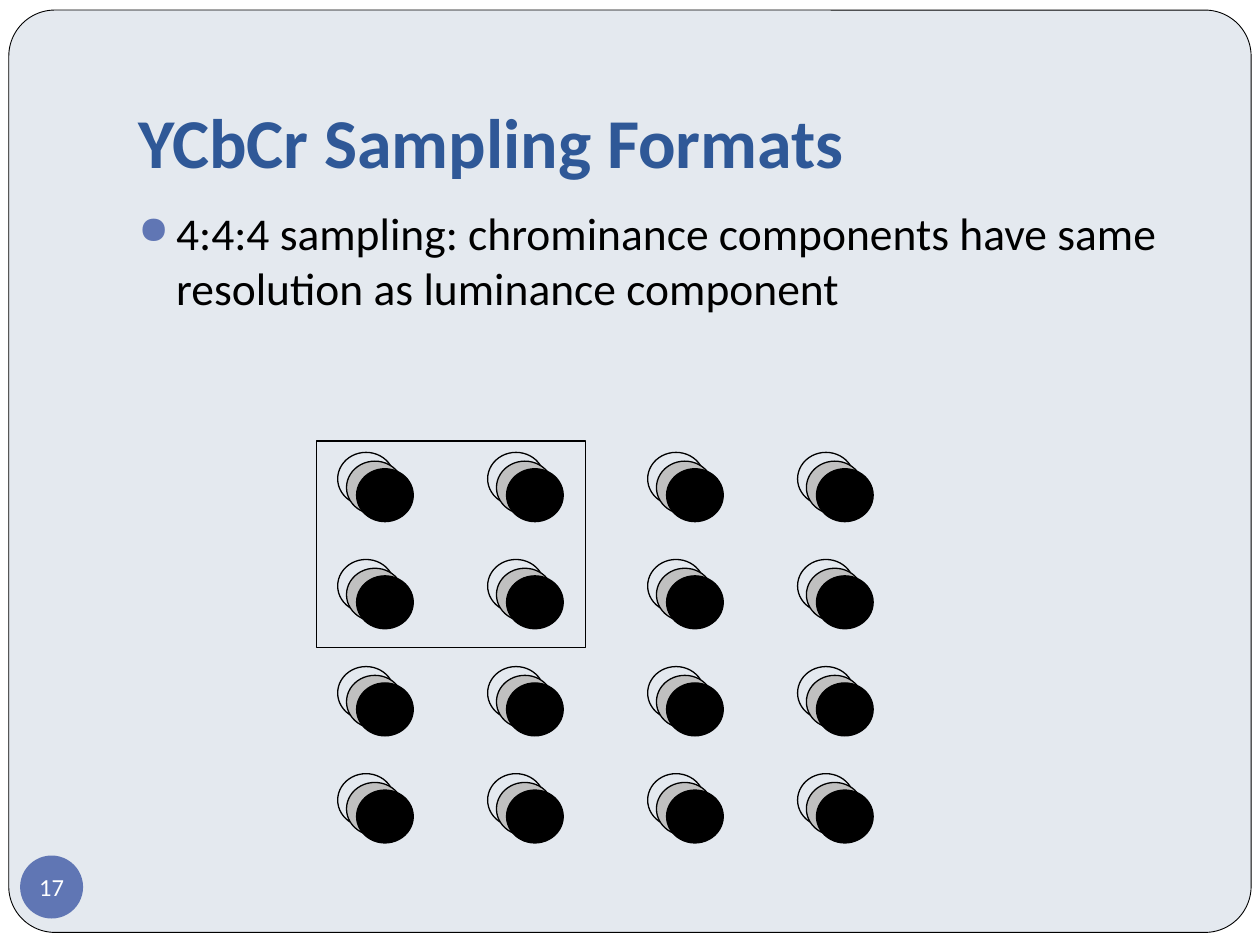
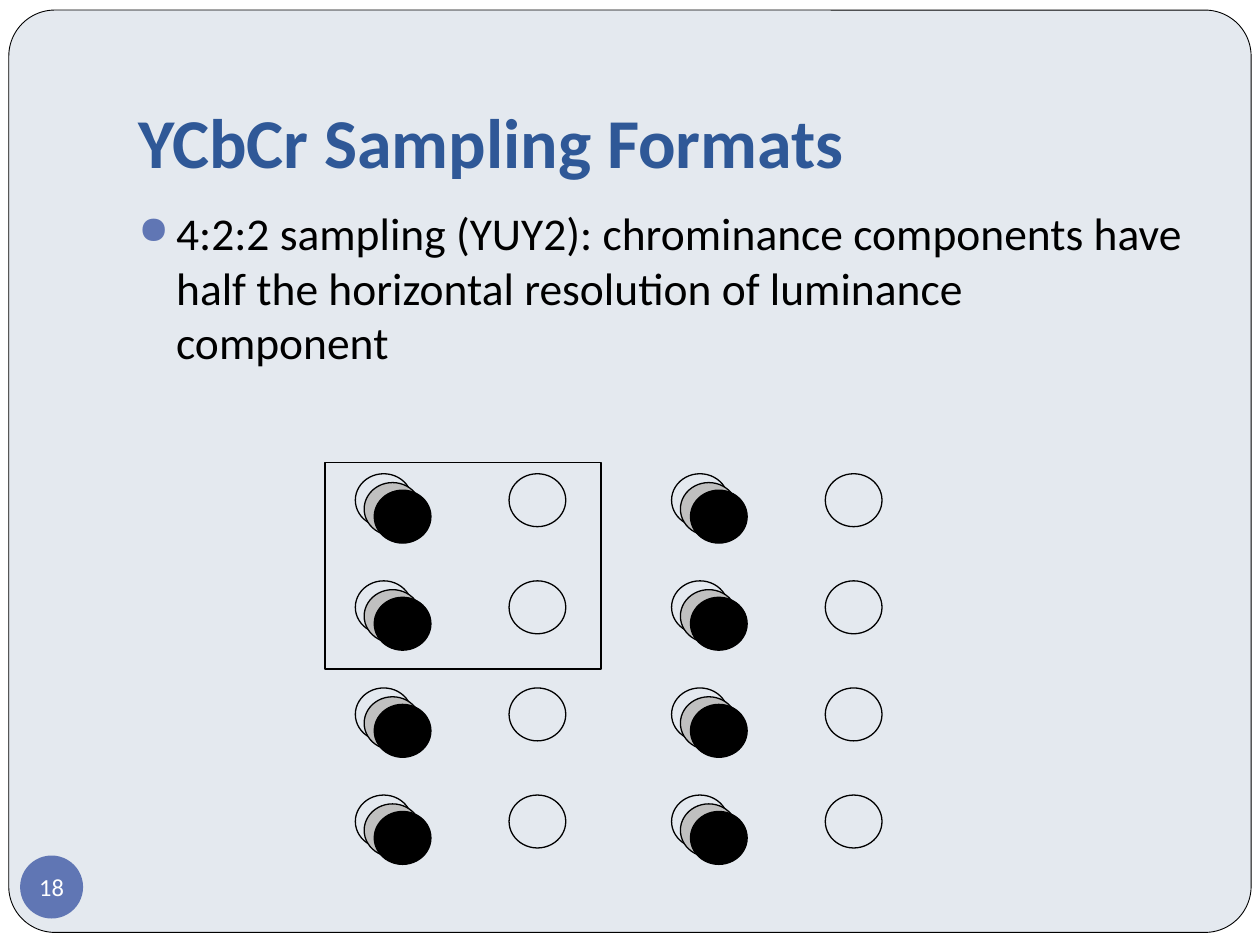
import pptx
import pptx.dml.color
import pptx.enum.shapes
import pptx.enum.text
import pptx.oxml.xmlchemy
import pptx.util
from lxml import etree
from pptx.util import Inches

SHAPE = pptx.enum.shapes.MSO_SHAPE
ALIGN = pptx.enum.text.PP_ALIGN
ANCHOR = pptx.enum.text.MSO_ANCHOR

FONT = "Calibri"
COLORS = {
    "paper": "FFFFFF",
    "panel": "E4E9EF",
    "title": "2F5897",
    "accent": "6076B4",
    "ink": "000000",
    "grey": "C0C0C0",
}
TITLE = "YCbCr Sampling Formats"

ROWS, COLUMNS = 4, 4
ROW_STEP = 0.85
DOT_WIDTH, DOT_HEIGHT = 0.45, 0.42
# Offset and fill of the luminance dot and the two chrominance dots on it
LAYERS = [(0, 0, None), (0.07, 0.07, "grey"), (0.15, 0.13, "ink")]

SLIDES = [
    {
        "number": 17,
        "text": "4:4:4 sampling: chrominance components have same "
                "resolution as luminance component",
        "box": (2.51, 3.5, 2.14, 1.64),
        "inset": (0.17, 0.09),
        "column_step": 1.19,
        "pair_step": 2.46,
        "chroma_every": 1,
    },
    {
        "number": 18,
        "text": "4:2:2 sampling (YUY2): chrominance components have half "
                "the horizontal resolution of luminance component",
        "box": (2.58, 3.67, 2.19, 1.64),
        "inset": (0.24, 0.09),
        "column_step": 1.22,
        "pair_step": 2.51,
        "chroma_every": 2,
    },
]


def rgb(name):
    return pptx.dml.color.RGBColor.from_string(COLORS[name])


def add_shape(shapes, kind, box, fill=None, line=None, width=0.75):
    sp = shapes.add_shape(kind, *map(Inches, box))
    sp.shadow.inherit = False
    if fill:
        sp.fill.solid()
        sp.fill.fore_color.rgb = rgb(fill)
    else:
        sp.fill.background()
    if line:
        sp.line.color.rgb = rgb(line)
        sp.line.width = pptx.util.Pt(width)
    else:
        sp.line.fill.background()
    return sp


def add_run(p, text, size, color, bold=False):
    r = p.add_run()
    r.text = text
    r.font.name = FONT
    r.font.size = pptx.util.Pt(size)
    r.font.bold = bold
    r.font.color.rgb = rgb(color)


def set_margins(tf, left, top, right, bottom):
    tf.margin_left, tf.margin_top = Inches(left), Inches(top)
    tf.margin_right, tf.margin_bottom = Inches(right), Inches(bottom)


def add_bullet(p, indent):
    """Give the paragraph a hanging round bullet in the accent colour."""
    pPr = p._p.get_or_add_pPr()
    pPr.set("marL", str(Inches(indent)))
    pPr.set("indent", str(-Inches(indent)))
    ns = pptx.oxml.ns.qn
    color = etree.SubElement(pPr, ns("a:buClr"))
    etree.SubElement(color, ns("a:srgbClr"), val=COLORS["accent"])
    etree.SubElement(pPr, ns("a:buSzPct"), val="85000")
    etree.SubElement(pPr, ns("a:buChar"), char="●")


def add_panel(slide):
    """Put the rounded panel behind the title on a white page."""
    slide.background.fill.solid()
    slide.background.fill.fore_color.rgb = rgb("paper")
    panel = add_shape(slide.shapes, SHAPE.ROUNDED_RECTANGLE,
                      (0.07, 0.08, 9.86, 7.32), "panel", "ink", 0.5)
    panel.adjustments[0] = 0.05
    slide.shapes.title.element.addprevious(panel.element)


def format_title(title, box):
    title.left, title.top, title.width, title.height = map(Inches, box)
    tf = title.text_frame
    tf.word_wrap = True
    tf.auto_size = pptx.enum.text.MSO_AUTO_SIZE.NONE
    tf.vertical_anchor = ANCHOR.BOTTOM
    set_margins(tf, 0.1, 0.05, 0.1, 0.1)
    p = tf.paragraphs[0]
    p.alignment = ALIGN.LEFT
    add_run(p, TITLE, 40, "title", bold=True)


def add_page_number(slide, number, box):
    badge = add_shape(slide.shapes, SHAPE.OVAL, box, "accent")
    tf = badge.text_frame
    tf.word_wrap = False
    tf.vertical_anchor = ANCHOR.MIDDLE
    set_margins(tf, 0, 0, 0, 0)
    p = tf.paragraphs[0]
    p.alignment = ALIGN.CENTER
    add_run(p, str(number), 14, "paper")


def add_body(slide, text, box):
    tf = slide.shapes.add_textbox(*map(Inches, box)).text_frame
    tf.word_wrap = True
    p = tf.paragraphs[0]
    p.space_before = pptx.util.Pt(5.8)
    add_bullet(p, 0.3)
    add_run(p, text, 26, "ink")


def add_sample(shapes, x, y, layers):
    for dx, dy, fill in layers:
        add_shape(shapes, SHAPE.OVAL,
                  (x + dx, y + dy, DOT_WIDTH, DOT_HEIGHT), fill, "ink")


def add_sampling_grid(slide, box, inset, column_step, pair_step, chroma_every):
    """Draw the samples in pairs of columns; box frames the first 2 by 2."""
    shapes = slide.shapes.add_group_shape().shapes
    left, top = box[0] + inset[0], box[1] + inset[1]
    for column in range(COLUMNS):
        pair, place = divmod(column, 2)
        x = left + pair * pair_step + place * column_step
        layers = LAYERS if column % chroma_every == 0 else LAYERS[:1]
        for row in range(ROWS):
            add_sample(shapes, x, top + row * ROW_STEP, layers)
    frame = add_shape(shapes, SHAPE.ROUNDED_RECTANGLE, box, None, "ink")
    frame.adjustments[0] = 0


def add_sampling_slide(prs, number, text, **grid):
    slide = prs.slides.add_slide(prs.slide_layouts[5])
    add_panel(slide)
    format_title(slide.shapes.title, (1, 0.3, 8.5, 1.25))
    add_page_number(slide, number, (0.16, 6.79, 0.5, 0.5))
    add_body(slide, text, (1, 1.58, 8.5, 5))
    add_sampling_grid(slide, **grid)


def main():
    prs = pptx.Presentation()
    prs.slide_width, prs.slide_height = Inches(10), Inches(7.5)
    for content in SLIDES:
        add_sampling_slide(prs, **content)
    prs.save("out.pptx")


if __name__ == "__main__":
    main()
